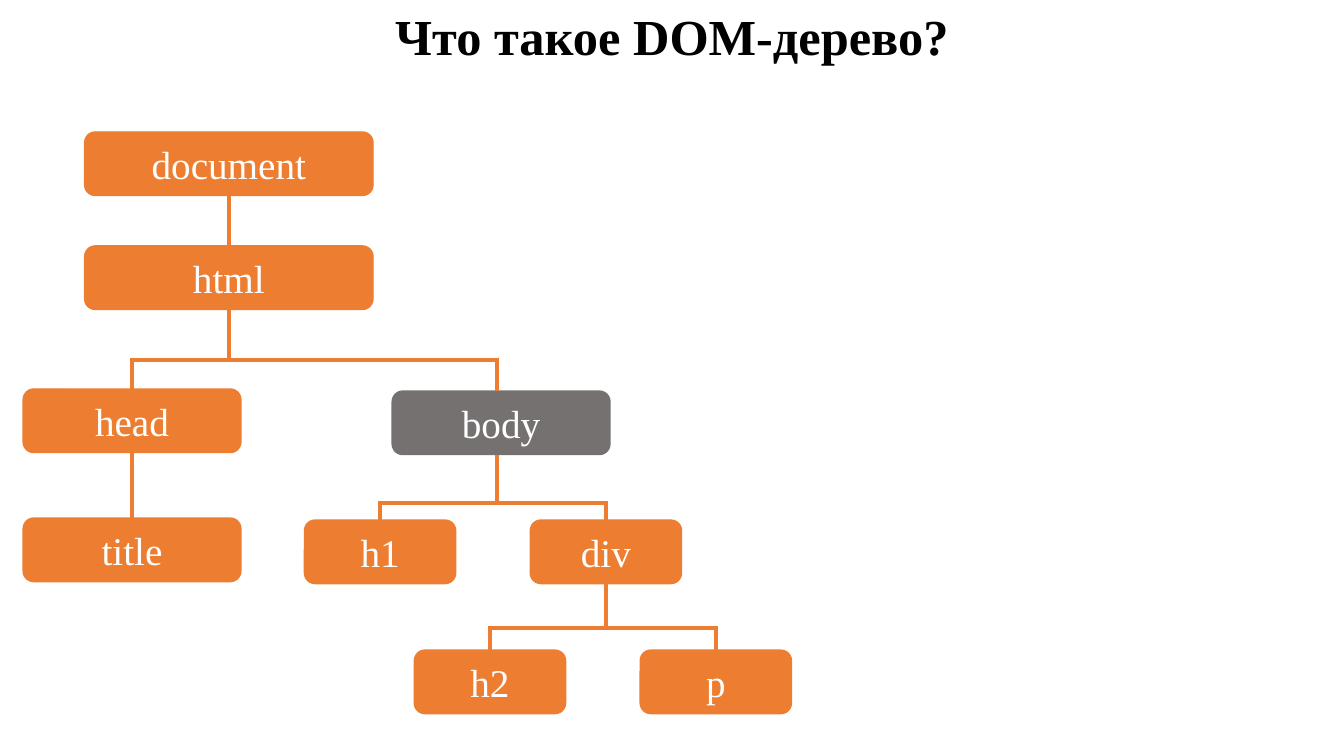
from lxml import etree
from pptx import Presentation
from pptx.dml.color import RGBColor
from pptx.enum.shapes import MSO_CONNECTOR, MSO_SHAPE
from pptx.enum.text import MSO_ANCHOR, MSO_AUTO_SIZE, PP_ALIGN
from pptx.oxml.ns import qn
from pptx.util import Emu, Pt

EMU_PER_PX = 9144
FONT = "Times New Roman"
COLORS = {"ink": "000000", "label": "FFFFFF", "node": "ED7D31", "accent": "767171"}
NODE_HEIGHT = 63
HALF_LINE = 2
BOTTOM, TOP = 2, 0

NODES = {
    "document": (204, 0, 286),
    "html": (204, 113, 286),
    "head": (108, 255, 216),
    "body": (474, 257, 216),
    "title": (108, 383, 216),
    "h1": (354, 385, 150),
    "div": (578, 385, 150),
    "h2": (463, 514, 150),
    "p": (687, 514, 150),
}
BODY_STEM = 470
STEMS = [("document", "html"), ("head", "title")]
FORKS = [
    ("html", ("head", "body"), 226),
    ("body", ("h1", "div"), 368),
    ("div", ("h2", "p"), 492),
]


def px(length):
    return Emu(length * EMU_PER_PX)


def color(name):
    return RGBColor.from_string(COLORS[name])


def write(box, text, size, ink, bold=False):
    para = box.text_frame.paragraphs[0]
    para.text = text
    para.alignment = PP_ALIGN.CENTER
    para.font.name = FONT
    para.font.size = Pt(size)
    para.font.bold = bold
    para.font.color.rgb = color(ink)


def draw_title(page, left, top, width, height):
    box = page.shapes.add_textbox(px(left), px(top), px(width), px(height))
    box.text_frame.word_wrap = True
    box.text_frame.auto_size = MSO_AUTO_SIZE.SHAPE_TO_FIT_TEXT
    write(box, "Что такое DOM-дерево?", 36, "ink", bold=True)


def draw_node(page, name, left, top, width):
    box = page.shapes.add_shape(
        MSO_SHAPE.ROUNDED_RECTANGLE, px(left), px(top), px(width), px(NODE_HEIGHT))
    fill = color("accent" if name == "body" else "node")
    box.shadow.inherit = False
    box.fill.solid()
    box.fill.fore_color.rgb = fill
    box.line.color.rgb = fill
    box.line.width = Pt(1)
    box.text_frame.vertical_anchor = MSO_ANCHOR.MIDDLE
    write(box, name, 28, "label")
    return box


def draw_line(page, start, end):
    line = page.shapes.add_connector(
        MSO_CONNECTOR.STRAIGHT, *map(px, start), *map(px, end))
    line.line.color.rgb = color("node")
    line.line.width = Pt(3)
    etree.SubElement(line._element.spPr, qn("a:effectLst"))
    return line


def draw_tree(page, left, top):
    boxes = {
        name: draw_node(page, name, left + center - width // 2, top + node_top, width)
        for name, (center, node_top, width) in NODES.items()
    }

    def stem_x(name):
        return left + (BODY_STEM if name == "body" else NODES[name][0])

    def top_of(name):
        return stem_x(name), top + NODES[name][1]

    def bottom_of(name):
        return stem_x(name), top + NODES[name][1] + NODE_HEIGHT

    for parent, child in STEMS:
        line = draw_line(page, bottom_of(parent), top_of(child))
        line.begin_connect(boxes[parent], BOTTOM)
        line.end_connect(boxes[child], TOP)

    for parent, children, offset in FORKS:
        fork_y = top + offset
        trunk = draw_line(page, bottom_of(parent), (stem_x(parent), fork_y))
        if parent != "body":
            trunk.begin_connect(boxes[parent], BOTTOM)
        for child in children:
            branch = draw_line(page, (stem_x(child), fork_y), top_of(child))
            if child != "body":
                branch.end_connect(boxes[child], TOP)
        first, last = map(stem_x, children)
        draw_line(page, (first - HALF_LINE, fork_y), (last + HALF_LINE, fork_y))


def main():
    deck = Presentation()
    deck.slide_width, deck.slide_height = px(1333), px(750)
    page = deck.slides.add_slide(deck.slide_layouts[6])
    draw_title(page, 344, 0, 645, 71)
    draw_tree(page, 23, 131)
    deck.save("out.pptx")


if __name__ == "__main__":
    main()
